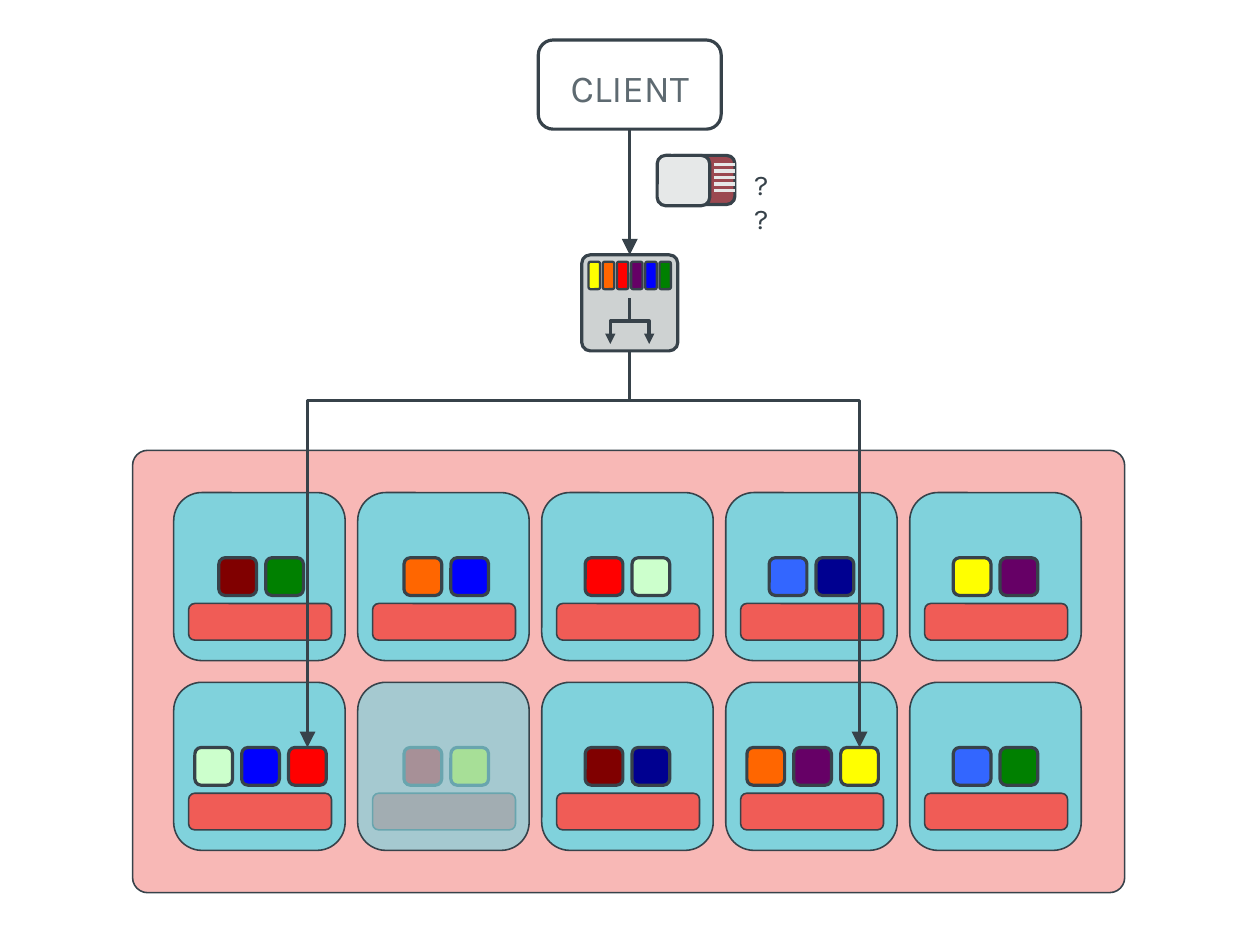
from typing import NamedTuple

from lxml.etree import SubElement
from pptx import Presentation
from pptx.dml.color import RGBColor
from pptx.enum.shapes import MSO_CONNECTOR as Link, MSO_SHAPE as Shape
from pptx.enum.text import MSO_ANCHOR as Anchor, PP_ALIGN as Align
from pptx.oxml.ns import qn
from pptx.shapes.autoshape import Shape as Auto
from pptx.shapes.connector import Connector
from pptx.text.text import TextFrame
from pptx.util import Cm, Emu, Inches, Pt

CELL = Inches(0.1)  # side of one grid square

INK = RGBColor(0x37, 0x42, 0x4A)
SLATE = RGBColor(0x5E, 0x6A, 0x71)
WHITE = RGBColor(0xFF, 0xFF, 0xFF)
PALE = RGBColor(0xE6, 0xE8, 0xE8)
GREY = RGBColor(0xCE, 0xD2, 0xD2)
CORAL = RGBColor(0xF0, 0x5C, 0x56)
AQUA = RGBColor(0x80, 0xD2, 0xDC)
WINE = RGBColor(0x9B, 0x48, 0x50)
MAROON = RGBColor(0x80, 0x00, 0x00)
RED = RGBColor(0xFF, 0x00, 0x00)
ORANGE = RGBColor(0xFF, 0x66, 0x00)
YELLOW = RGBColor(0xFF, 0xFF, 0x00)
MINT = RGBColor(0xCC, 0xFF, 0xCC)
GREEN = RGBColor(0x00, 0x80, 0x00)
SKY = RGBColor(0x33, 0x66, 0xFF)
BLUE = RGBColor(0x00, 0x00, 0xFF)
NAVY = RGBColor(0x00, 0x00, 0x90)
PLUM = RGBColor(0x66, 0x00, 0x66)


class Spot(NamedTuple):
    x: float
    y: float


class Box(NamedTuple):
    x: float
    y: float
    w: float
    h: float

    def top(self) -> Spot:
        return Spot(self.x + self.w / 2, self.y)

    def base(self) -> Spot:
        return Spot(self.x + self.w / 2, self.y + self.h)


class Node(NamedTuple):
    col: int
    row: int
    chips: tuple[RGBColor, ...]
    nudge: float = 0  # shift of the chips to the right
    down: bool = False


PANEL = Box(11.6, 39.4, 86.8, 38.7)
CLIENT = Box(47.1, 3.5, 16, 7.8)
ROUTER = Box(50.9, 22.3, 8.4, 8.4)
CARD = Box(58.3, 13.6, 6, 4.3)
COVER = Box(57.5, 13.6, 4.6, 4.4)
QUERY = Box(65, 13.6, 4.2, 4.5)

FIRST = Spot(15.2, 43.1)  # corner of the first node
STEP = Spot(16.1, 16.6)
NODE_W, NODE_H = 15, 14.7
CHIP, PITCH = 3.3, 4.1

NODES = (
    Node(0, 0, (MAROON, GREEN), 0.15),
    Node(1, 0, (ORANGE, BLUE), 0.25),
    Node(2, 0, (RED, MINT)),
    Node(3, 0, (SKY, NAVY)),
    Node(4, 0, (YELLOW, PLUM)),
    Node(0, 1, (MINT, BLUE, RED), 0.1),
    Node(1, 1, (RED, YELLOW), 0.25, down=True),
    Node(2, 1, (MAROON, NAVY)),
    Node(3, 1, (ORANGE, PLUM, YELLOW), 0.1),
    Node(4, 1, (SKY, GREEN)),
)
KEYS = (YELLOW, ORANGE, RED, PLUM, BLUE, GREEN)


def grid(*cells: float) -> list[Emu]:
    return [Emu(round(n * CELL)) for n in cells]


deck = Presentation()
deck.slide_width, deck.slide_height = Cm(28), Cm(21)
slide = deck.slides.add_slide(deck.slide_layouts[6])
shapes = slide.shapes


def block(box: Box, fill: RGBColor, line: float = 1, curve: float = 0.167,
          alpha: int = 100) -> Auto:
    """Draw a rounded block; alpha is its opacity in percent."""
    item = shapes.add_shape(Shape.ROUNDED_RECTANGLE, *grid(*box))
    item.adjustments[0] = curve
    item.shadow.inherit = False
    item.fill.solid()
    item.fill.fore_color.rgb = fill
    item.line.color.rgb = INK
    item.line.width = Pt(line)
    if alpha < 100:
        tint = item._element.spPr.find(qn("a:solidFill"))[0]
        SubElement(tint, qn("a:alpha"), val=str(alpha * 1000))
    return item


def write(frame: TextFrame, text: str, size: float, tone: RGBColor) -> None:
    frame.word_wrap = True
    frame.margin_left = frame.margin_right = frame.margin_top = Inches(0.1)
    frame.margin_bottom = Inches(0.05)
    frame.text = text
    font = frame.paragraphs[0].runs[0].font
    font.name, font.size, font.color.rgb = "Karla", Pt(size), tone


def wire(kind: Link, start: Spot, end: Spot, tone: RGBColor = INK,
         width: float = 2, head: str = "") -> Connector:
    """Draw a connector; head is the size of its arrowhead, if it has one."""
    item = shapes.add_connector(kind, *grid(*start, *end))
    item.line.color.rgb = tone
    item.line.width = Pt(width)
    props = item._element.spPr
    if head:
        SubElement(props.find(qn("a:ln")), qn("a:tailEnd"),
                   type="triangle", w=head, len=head)
    SubElement(props, qn("a:effectLst"))
    return item


def fork(start: Spot, end: Spot, bend: float, width: float = 2,
         head: str = "lg") -> None:
    """Draw an arrow that goes down, across at the bend, then down again."""
    mid = Spot((start.x + end.x) / 2, (start.y + end.y) / 2)
    side = 1 if end.x < start.x else -1
    run, rise = (end.y - start.y) / 2, abs(end.x - start.x) / 2
    item = wire(Link.ELBOW, Spot(mid.x - side * run, mid.y - rise),
                Spot(mid.x + side * run, mid.y + rise), width=width, head=head)
    props = item._element.spPr
    turn = 90 if side > 0 else 270
    props.find(qn("a:xfrm")).set("rot", str(turn * 60000))
    guides = props.find(qn("a:prstGeom")).find(qn("a:avLst"))
    SubElement(guides, qn("a:gd"), name="adj1", fmla=f"val {round(bend * 100000)}")


def draw(node: Node) -> Box:
    """Draw a node and return the place of its last chip."""
    x, y = FIRST.x + STEP.x * node.col, FIRST.y + STEP.y * node.row
    plate = Box(x, y, NODE_W, NODE_H)
    if not node.down:
        block(plate, AQUA)
    block(Box(x + 1.3, y + 9.7, 12.5, 3.2), CORAL)
    span = CHIP + PITCH * (len(node.chips) - 1)
    left = x + (NODE_W - span) / 2 + node.nudge
    spots = [Box(left + PITCH * i, y + 5.7, CHIP, CHIP)
             for i in range(len(node.chips))]
    for spot, tone in zip(spots, node.chips):
        block(spot, tone, 2)
    if node.down:
        block(plate, AQUA, alpha=69)
    return spots[-1]


def main() -> None:
    block(PANEL, CORAL, curve=0.034, alpha=43)
    ends = {(node.col, node.row): draw(node) for node in NODES}

    client = block(CLIENT, WHITE, 2)
    write(client.text_frame, "CLIENT", 24, SLATE)
    client.text_frame.vertical_anchor = Anchor.MIDDLE
    client.text_frame.paragraphs[0].alignment = Align.CENTER

    router = block(ROUTER, GREY, 2, 0.089)
    for i, tone in enumerate(KEYS):
        block(Box(51.5 + 1.24 * i, 22.9, 1, 2.4), tone, 1.45)
    for x in (53.4, 56.8):
        fork(Spot(55.1, 26.1), Spot(x, 30.1), 0.5, 2.15, "med")

    ask = wire(Link.STRAIGHT, CLIENT.base(), ROUTER.top(), head="lg")
    ask.begin_connect(client, 2)
    ask.end_connect(router, 0)
    for col in (0, 3):
        fork(ROUTER.base(), ends[col, 1].top(), 0.125)

    block(CARD, WINE, 2)
    block(COVER, PALE, 2)
    for i in range(5):
        y = 14.4 + 0.57 * i
        wire(Link.STRAIGHT, Spot(62.5, y), Spot(64.3, y), PALE)
    query = shapes.add_textbox(*grid(*QUERY))
    write(query.text_frame, "??", 18, INK)

    deck.save("out.pptx")


if __name__ == "__main__":
    main()
